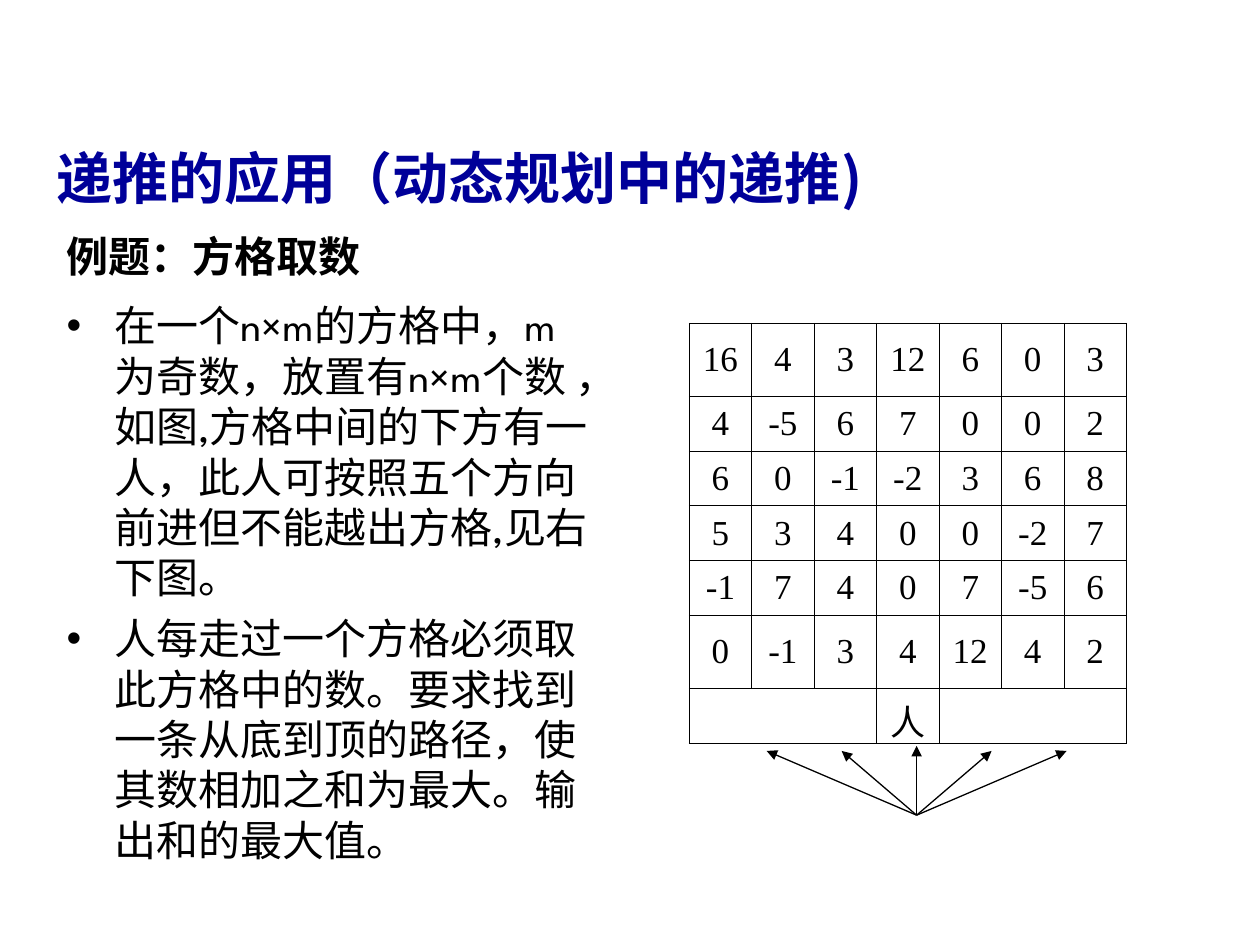
from lxml import etree
from pptx import Presentation
from pptx.dml.color import RGBColor
from pptx.enum.shapes import MSO_CONNECTOR
from pptx.enum.text import MSO_ANCHOR, PP_ALIGN
from pptx.oxml.ns import qn
from pptx.util import Inches, Pt

STRAIGHT = MSO_CONNECTOR.STRAIGHT
MIDDLE = MSO_ANCHOR.MIDDLE
CENTER, JUSTIFY, LEFT = PP_ALIGN.CENTER, PP_ALIGN.JUSTIFY, PP_ALIGN.LEFT

COLORS = {"title": "000099", "ink": "000000"}
CJK_FONT = "Noto Sans CJK SC"
GRID_COLUMNS, GRID_ROWS = 100, 75
UNIT = Inches(0.1)

TITLE = "递推的应用（动态规划中的递推)"
SUBTITLE = "例题：方格取数"
RULES = [
    "在一个n×m的方格中，m为奇数，放置有n×m个数 ，如图,方格中间的下方有一人，此人可按照五个方向前进但不能越出方格,见右下图。",
    "人每走过一个方格必须取此方格中的数。要求找到一条从底到顶的路径，使其数相加之和为最大。输出和的最大值。",
]
NUMBERS = [
    [16, 4, 3, 12, 6, 0, 3],
    [4, -5, 6, 7, 0, 0, 2],
    [6, 0, -1, -2, 3, 6, 8],
    [5, 3, 4, 0, 0, -2, 7],
    [-1, 7, 4, 0, 7, -5, 6],
    [0, -1, 3, 4, 12, 4, 2],
]
ROW_HEIGHTS = [5.8, 4.35, 4.35, 4.35, 4.35, 5.8, 4.4]
COLUMN_WIDTH = 4.96
PERSON_ROW, PERSON_COLUMN = 6, 3


def grid(*lengths):
    """Turn grid counts into slide lengths."""
    return [int(length * UNIT) for length in lengths]


def style(paragraph, size, font_name, color="ink", bold=False, align=LEFT):
    """Format the runs of one paragraph."""
    paragraph.alignment = align
    for run in paragraph.runs:
        run.font.size = Pt(size)
        run.font.bold = bold
        run.font.color.rgb = RGBColor.from_string(COLORS[color])
        run.font.name = font_name
        properties = run._r.get_or_add_rPr()
        etree.SubElement(properties, qn("a:ea"), typeface=CJK_FONT)


def add_text_area(slide, left, top, width, height):
    """Add an empty wrapping text area and return its frame."""
    frame = slide.shapes.add_textbox(*grid(left, top, width, height)).text_frame
    frame.word_wrap = True
    return frame


def add_heading(slide, place, text, size, font_name, color):
    """Add a bold one-line heading."""
    frame = add_text_area(slide, *place)
    frame.text = text
    style(frame.paragraphs[0], size, font_name, color, True, JUSTIFY)


def add_bullet(paragraph):
    """Give a paragraph a round bullet with a hanging indent."""
    properties = paragraph._p.get_or_add_pPr()
    properties.set("marL", str(Inches(0.38)))
    properties.set("indent", str(-Inches(0.38)))
    bullet_color = etree.SubElement(properties, qn("a:buClr"))
    etree.SubElement(bullet_color, qn("a:srgbClr"), val=COLORS["ink"])
    etree.SubElement(properties, qn("a:buFont"), typeface="Arial")
    etree.SubElement(properties, qn("a:buChar"), char="•")


def add_rules(slide):
    """Add the bulleted rules of the problem."""
    frame = add_text_area(slide, 4.3, 23, 43.8, 47.7)
    frame.margin_top = Inches(0.08)
    for index, rule in enumerate(RULES):
        paragraph = frame.add_paragraph() if index else frame.paragraphs[0]
        paragraph.text = rule
        add_bullet(paragraph)
        paragraph.line_spacing = Pt(28.8)
        if index:
            paragraph.space_before = Pt(6)
        style(paragraph, 24, "League Spartan")


def add_borders(cell):
    """Draw thin lines on the four sides of a cell and clear its fill."""
    properties = cell._tc.get_or_add_tcPr()
    for side in ("a:lnL", "a:lnR", "a:lnT", "a:lnB"):
        border = etree.SubElement(properties, qn(side), w=str(Pt(0.45)))
        fill = etree.SubElement(border, qn("a:solidFill"))
        etree.SubElement(fill, qn("a:srgbClr"), val=COLORS["ink"])
    cell.fill.background()


def fill_cell(cell, text):
    """Write centred text into a cell."""
    cell.text_frame.text = text
    cell.vertical_anchor = MIDDLE
    style(cell.text_frame.paragraphs[0], 20, "Times New Roman", align=CENTER)


def add_number_grid(slide):
    """Add the table of numbers with the person below its middle column."""
    row_count, column_count = len(ROW_HEIGHTS), len(NUMBERS[0])
    place = grid(54.7, 25.65, COLUMN_WIDTH * column_count, sum(ROW_HEIGHTS))
    table = slide.shapes.add_table(row_count, column_count, *place).table
    table.first_row = table.horz_banding = False
    for column in table.columns:
        column.width = grid(COLUMN_WIDTH)[0]
    for row, height in zip(table.rows, ROW_HEIGHTS):
        row.height = grid(height)[0]
    for cell in table.iter_cells():
        add_borders(cell)
    for row, values in enumerate(NUMBERS):
        for column, value in enumerate(values):
            fill_cell(table.cell(row, column), str(value))
    fill_cell(table.cell(PERSON_ROW, PERSON_COLUMN), "人")
    for first, last in ((0, PERSON_COLUMN - 1), (PERSON_COLUMN + 1, column_count - 1)):
        table.cell(PERSON_ROW, first).merge(table.cell(PERSON_ROW, last))


def add_arrow(slide, start, end):
    """Add a thin straight arrow between two grid points."""
    arrow = slide.shapes.add_connector(STRAIGHT, *grid(*start, *end))
    arrow.line.color.rgb = RGBColor.from_string(COLORS["ink"])
    arrow.line.width = Pt(0.75)
    etree.SubElement(arrow.line._get_or_add_ln(), qn("a:tailEnd"), type="triangle")
    etree.SubElement(arrow._element.spPr, qn("a:effectLst"))


def add_directions(slide):
    """Fan out the five directions the person may take."""
    hub_x, hub_y, step = 72.75, 64.7, 5.95
    for direction in range(-2, 3):
        tip_y = 59.6 if direction else 59.2
        add_arrow(slide, (hub_x, hub_y), (hub_x + direction * step, tip_y))


def main():
    """Build and save the slide."""
    deck = Presentation()
    deck.slide_width, deck.slide_height = grid(GRID_COLUMNS, GRID_ROWS)
    slide = deck.slides.add_slide(deck.slide_layouts[6])
    add_rules(slide)
    add_number_grid(slide)
    add_directions(slide)
    add_heading(slide, (3.5, 10.9, 90.6, 7.5), TITLE, 32, CJK_FONT, "title")
    add_heading(slide, (4.3, 17.8, 46.8, 5), SUBTITLE, 24, "Roboto", "ink")
    deck.save("out.pptx")


if __name__ == "__main__":
    main()
